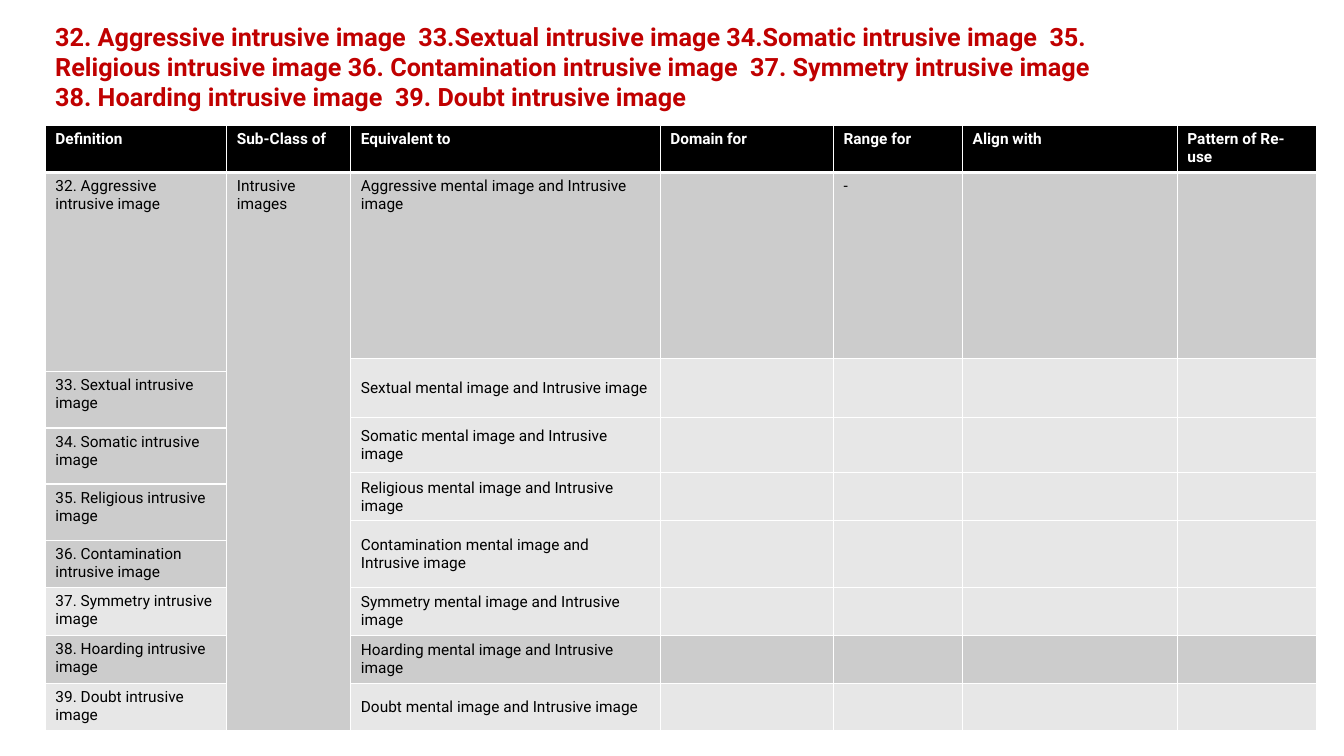
"""Build the slide that defines intrusive image classes 32 to 39 in a table."""
from lxml.etree import SubElement
from pptx import Presentation
from pptx.dml.color import RGBColor as Rgb
from pptx.enum.text import MSO_ANCHOR as Anchor, MSO_AUTO_SIZE as AutoSize
from pptx.oxml.ns import qn
from pptx.util import Pt

COLORS = {"title": "C00000", "header": "000000", "dark": "CCCCCC",
          "light": "E7E7E7", "text": "000000", "white": "FFFFFF"}
TITLE_FORMAT = {"name": "Roboto", "size": Pt(18), "bold": True}
HEADER_FORMAT = {"name": "Roboto", "size": Pt(11), "bold": True}
BODY_FORMAT = {"name": "Roboto", "size": Pt(11), "bold": False}

TITLE = ("32. Aggressive intrusive image  33.Sextual intrusive image "
         "34.Somatic intrusive image  35. Religious intrusive image "
         "36. Contamination intrusive image  37. Symmetry intrusive image "
         "38. Hoarding intrusive image  39. Doubt intrusive image")
HEADINGS = ["Definition", "Sub-Class of", "Equivalent to", "Domain for",
            "Range for", "Align with", "Pattern of Re-use"]
KINDS = ["Aggressive", "Sextual", "Somatic", "Religious",
         "Contamination", "Symmetry", "Hoarding", "Doubt"]
FIRST_NUMBER = 32

COLUMN_WIDTHS = [129.6, 88.6, 221, 123.8, 92.2, 153.4, 99.4]
ROW_HEIGHTS = [33, 133, 8.9, 33.2, 7.4, 32, 8, 26.4, 14, 33.6, 34.3, 34.3, 33.6]
DEFINITION_STARTS = [1, 3, 5, 7, 9, 10, 11, 12]
EQUIVALENT_STARTS = [1, 2, 4, 6, 8, 10, 11, 12]
LIGHT_DEFINITIONS = {"Symmetry", "Doubt"}
DARK_EQUIVALENTS = {"Aggressive", "Hoarding"}


def write(frame, words, color, font_format):
    run = frame.paragraphs[0].add_run()
    run.text = words
    run.font.color.rgb = Rgb.from_string(COLORS[color])
    for key, value in font_format.items():
        setattr(run.font, key, value)


def add_title(slide):
    frame = slide.shapes.add_textbox(Pt(32.4), Pt(11.5), Pt(772), Pt(116.6)).text_frame
    frame.word_wrap = True
    frame.auto_size = AutoSize.SHAPE_TO_FIT_TEXT
    write(frame, TITLE, "title", TITLE_FORMAT)


def add_borders(cell, top, bottom):
    properties = cell._tc.get_or_add_tcPr()
    for side, width in {"L": 1, "R": 1, "T": top, "B": bottom}.items():
        line = SubElement(properties, qn(f"a:ln{side}"), w=str(Pt(width)))
        fill = SubElement(line, qn("a:solidFill"))
        SubElement(fill, qn("a:srgbClr"), val=COLORS["white"])


def paint(cell, color):
    cell.fill.solid()
    cell.fill.fore_color.rgb = Rgb.from_string(COLORS[color])


def add_block(table, column, first, last, color, words=""):
    """Fill one column from the first to the last row as a single cell."""
    for row in range(first, last + 1):
        paint(table.cell(row, column), color)
    cell = table.cell(first, column)
    if last > first:
        cell.merge(table.cell(last, column))
    if words:
        write(cell.text_frame, words, "text", BODY_FORMAT)
    return cell


def add_grid(slide):
    table = slide.shapes.add_table(
        len(ROW_HEIGHTS), len(COLUMN_WIDTHS), Pt(32.4), Pt(89.6),
        Pt(sum(COLUMN_WIDTHS)), Pt(sum(ROW_HEIGHTS))).table
    table.first_row = table.horz_banding = False
    for column, width in zip(table.columns, COLUMN_WIDTHS):
        column.width = Pt(width)
    for index, (row, height) in enumerate(zip(table.rows, ROW_HEIGHTS)):
        row.height = Pt(height)
        for cell in row.cells:
            add_borders(cell, 3 if index == 1 else 1, 3 if index == 0 else 1)
    return table


def fill_header(table):
    for cell, heading in zip(table.rows[0].cells, HEADINGS):
        paint(cell, "header")
        write(cell.text_frame, heading, "white", HEADER_FORMAT)


def fill_definitions(table):
    ends = [start - 1 for start in DEFINITION_STARTS[1:]] + [len(ROW_HEIGHTS) - 1]
    blocks = zip(KINDS, DEFINITION_STARTS, ends)
    for number, (kind, first, last) in enumerate(blocks, FIRST_NUMBER):
        color = "light" if kind in LIGHT_DEFINITIONS else "dark"
        add_block(table, 0, first, last, color, f"{number}. {kind} intrusive image")


def fill_equivalents(table):
    ends = [start - 1 for start in EQUIVALENT_STARTS[1:]] + [len(ROW_HEIGHTS) - 1]
    for kind, first, last in zip(KINDS, EQUIVALENT_STARTS, ends):
        color = "dark" if kind in DARK_EQUIVALENTS else "light"
        equivalent = add_block(table, 2, first, last, color,
                               f"{kind} mental image and Intrusive image")
        if first > 1:
            equivalent.vertical_anchor = Anchor.MIDDLE
        for column in range(3, len(HEADINGS)):
            range_mark = "-" if (first, column) == (1, 4) else ""
            add_block(table, column, first, last, color, range_mark)


def main():
    deck = Presentation()
    deck.slide_width, deck.slide_height = Pt(960), Pt(540)
    slide = deck.slides.add_slide(deck.slide_layouts[6])
    add_title(slide)
    table = add_grid(slide)
    fill_header(table)
    fill_definitions(table)
    add_block(table, 1, 1, len(ROW_HEIGHTS) - 1, "dark", "Intrusive images")
    fill_equivalents(table)
    deck.save("out.pptx")


if __name__ == "__main__":
    main()
